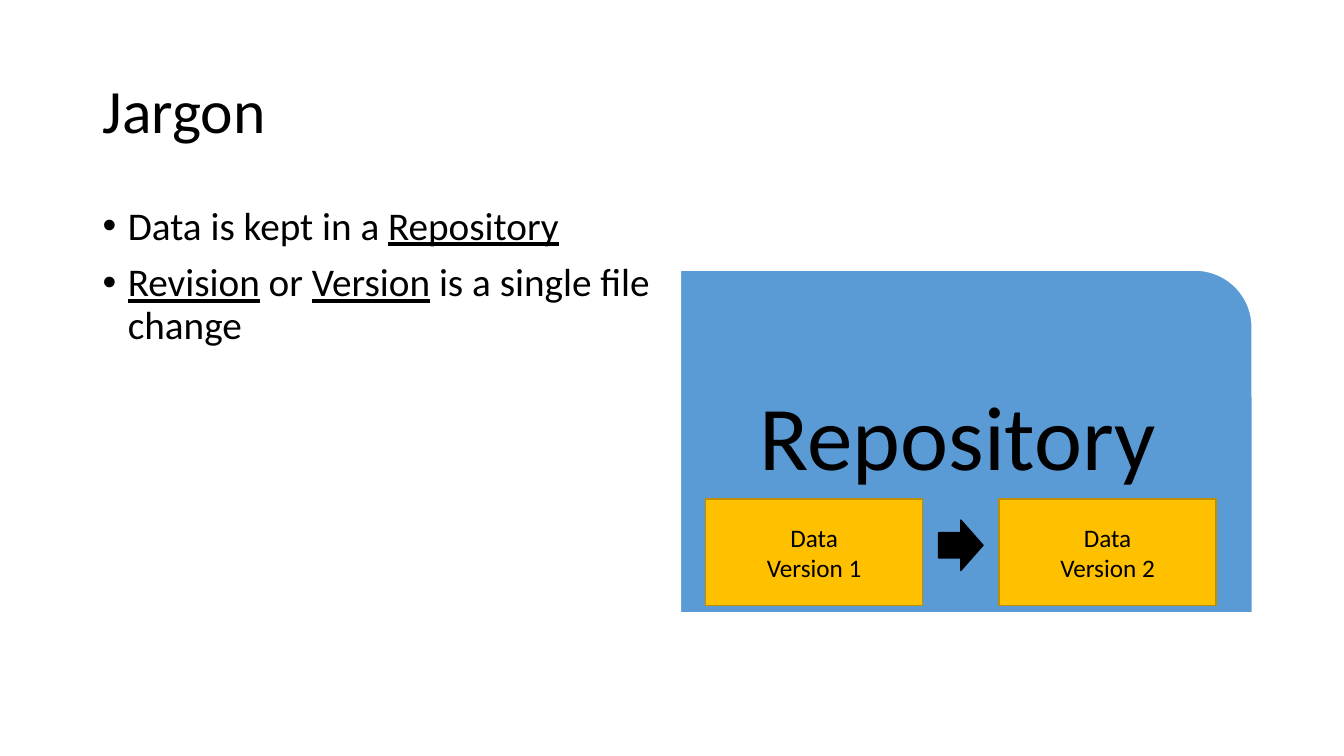
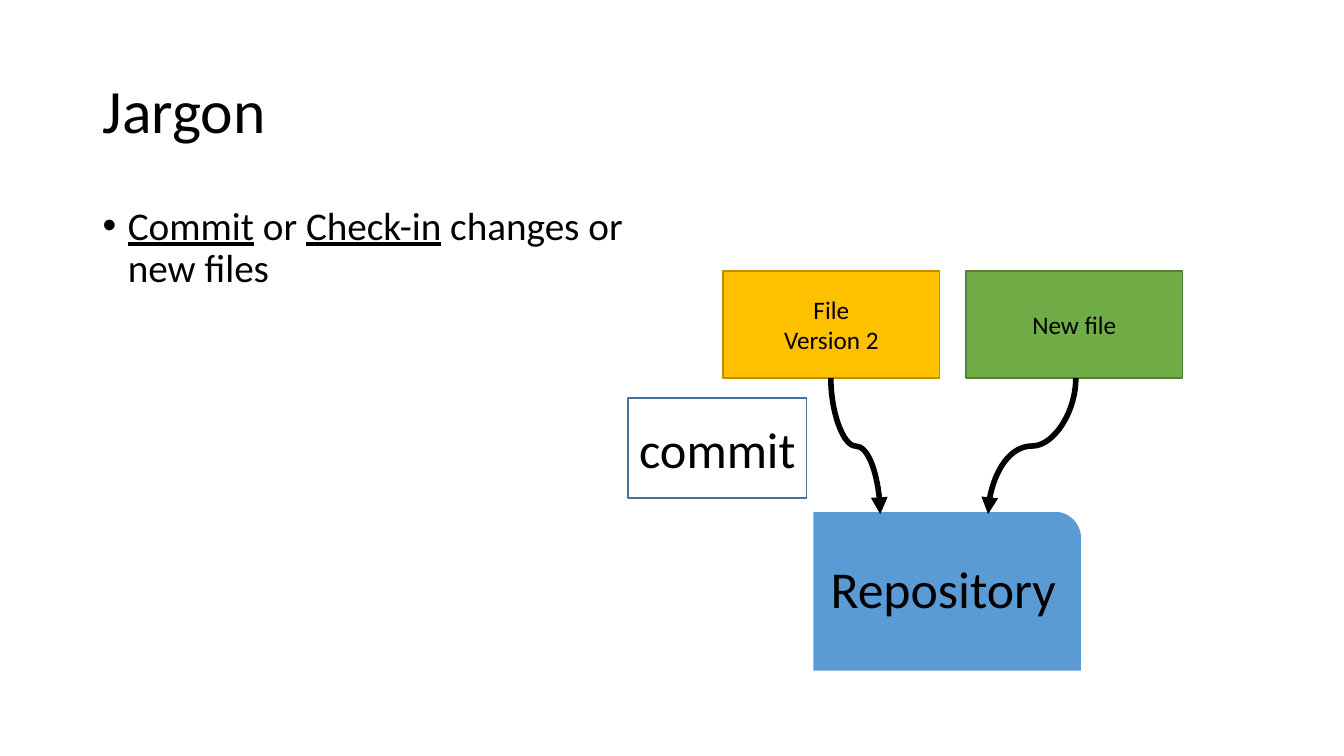
import pptx
import pptx.util
import pptx.dml.color
import pptx.enum.shapes
import pptx.enum.text
import pptx.oxml.ns
import lxml.etree

Inches = pptx.util.Inches
Pt = pptx.util.Pt
RGBColor = pptx.dml.color.RGBColor
SHAPE = pptx.enum.shapes.MSO_SHAPE
ALIGN = pptx.enum.text.PP_ALIGN
ANCHOR = pptx.enum.text.MSO_ANCHOR
qn = pptx.oxml.ns.qn

BLACK = RGBColor(0x00, 0x00, 0x00)
WHITE = RGBColor(0xFF, 0xFF, 0xFF)
BLUE = RGBColor(0x5B, 0x9B, 0xD5)
DARK_BLUE = RGBColor(0x43, 0x73, 0x9E)
GOLD = RGBColor(0xFF, 0xC0, 0x00)
DARK_GOLD = RGBColor(0xBD, 0x8E, 0x00)
GREEN = RGBColor(0x70, 0xAD, 0x47)
DARK_GREEN = RGBColor(0x53, 0x80, 0x35)

FONT = "Calibri"
FILE_W, FILE_H = 2.15, 1.06


def write(tf, lines, size, align=ALIGN.LEFT, anchor=ANCHOR.MIDDLE,
          inset=None, spacing=None, before=0, bullet=False):
    """Fill a text frame; parts of a line between underscores are underlined."""
    tf.word_wrap = True
    tf.vertical_anchor = anchor
    if inset is not None:
        tf.margin_left = tf.margin_right = Inches(inset)
        tf.margin_top = tf.margin_bottom = Inches(inset)
    for i, line in enumerate(lines):
        p = tf.add_paragraph() if i else tf.paragraphs[0]
        p.alignment = align
        if spacing:
            p.line_spacing = spacing
        if i and before:
            p.space_before = Pt(before)
        if bullet:
            pPr = p._p.get_or_add_pPr()
            pPr.set("marL", str(Inches(0.25)))
            pPr.set("indent", str(-Inches(0.25)))
            font = lxml.etree.SubElement(pPr, qn("a:buFont"))
            font.set("typeface", "Arial")
            lxml.etree.SubElement(pPr, qn("a:buChar")).set("char", "•")
        for j, part in enumerate(line.split("_")):
            if part:
                r = p.add_run()
                r.text = part
                r.font.name = FONT
                r.font.size = Pt(size)
                r.font.color.rgb = BLACK
                r.font.underline = j % 2 == 1


class Deck:
    def __init__(self):
        self.prs = pptx.Presentation()
        self.prs.slide_width = Inches(13.33)
        self.prs.slide_height = Inches(7.5)
        self.s = None

    def slide(self, title, bullets):
        self.s = self.prs.slides.add_slide(self.prs.slide_layouts[6])
        self.text(0.92, 0.4, 11.5, 1.45, [title], size=44, spacing=0.9)
        self.text(0.92, 2, 5.67, 4.76, bullets, size=28, spacing=0.9,
                  anchor=ANCHOR.TOP, before=10, bullet=True)

    def text(self, x, y, w, h, lines, **fmt):
        box = self.s.shapes.add_textbox(Inches(x), Inches(y), Inches(w), Inches(h))
        write(box.text_frame, lines, **fmt)

    def shape(self, kind, x, y, w, h, fill, line, lines=(), **fmt):
        sp = self.s.shapes.add_shape(kind, Inches(x), Inches(y), Inches(w), Inches(h))
        sp.shadow.inherit = False
        sp.fill.solid()
        sp.fill.fore_color.rgb = fill
        sp.line.color.rgb = line
        sp.line.width = Pt(1)
        if lines:
            write(sp.text_frame, lines, align=ALIGN.CENTER, **fmt)

    def file(self, x, y, lines, fill=GOLD, line=DARK_GOLD):
        self.shape(SHAPE.RECTANGLE, x, y, FILE_W, FILE_H, fill, line, lines, size=18)

    def repository(self, x, y, w, h, size, inset):
        self.shape(SHAPE.ROUND_1_RECTANGLE, x, y, w, h, BLUE, WHITE,
                   ["Repository"], size=size, inset=inset, spacing=0.9)

    def curve_down(self, x1, y1, x2, y2):
        length, shift = y2 - y1, abs(x2 - x1)
        left = (x1 + x2 - length) / 2
        top = (y1 + y2 - shift) / 2
        cx = self.s.shapes.add_connector(
            pptx.enum.shapes.MSO_CONNECTOR.CURVE, Inches(left), Inches(top),
            Inches(left + length), Inches(top + shift))
        cx.line.color.rgb = BLACK
        cx.line.width = Pt(4)
        spPr = cx._element.spPr
        xfrm = spPr.find(qn("a:xfrm"))
        if x2 > x1:
            xfrm.set("rot", str(270 * 60000))
            xfrm.set("flipH", "1")
        else:
            xfrm.set("rot", str(90 * 60000))
        tail = lxml.etree.SubElement(spPr.find(qn("a:ln")), qn("a:tailEnd"))
        tail.set("type", "triangle")
        lxml.etree.SubElement(spPr, qn("a:effectLst"))


def main():
    deck = Deck()

    deck.slide("Jargon", ["Data is kept in a _Repository_",
                          "_Revision_ or _Version_ is a single file change"])
    deck.repository(6.75, 2.68, 5.67, 3.4, size=65, inset=0.27)
    for x, version in ((7, "Version 1"), (9.91, "Version 2")):
        deck.file(x, 4.95, ["Data", version])
    deck.shape(SHAPE.RIGHT_ARROW, 9.31, 5.16, 0.44, 0.5, BLACK, BLACK)

    deck.slide("Jargon", ["_Commit_ or _Check-in_ changes or new files"])
    deck.repository(8.06, 5.07, 2.67, 1.59, size=37, inset=0.15)
    deck.file(7.17, 2.69, ["File", "Version 2"])
    deck.file(9.58, 2.69, ["New file"], GREEN, DARK_GREEN)
    deck.shape(SHAPE.RECTANGLE, 6.23, 3.95, 1.77, 0.99, WHITE, DARK_BLUE,
               ["commit"], size=36)
    for start, end in ((8.24, 8.73), (10.67, 9.8)):
        deck.curve_down(start, 2.69 + FILE_H, end, 5.1)

    deck.prs.save("out.pptx")


if __name__ == "__main__":
    main()
